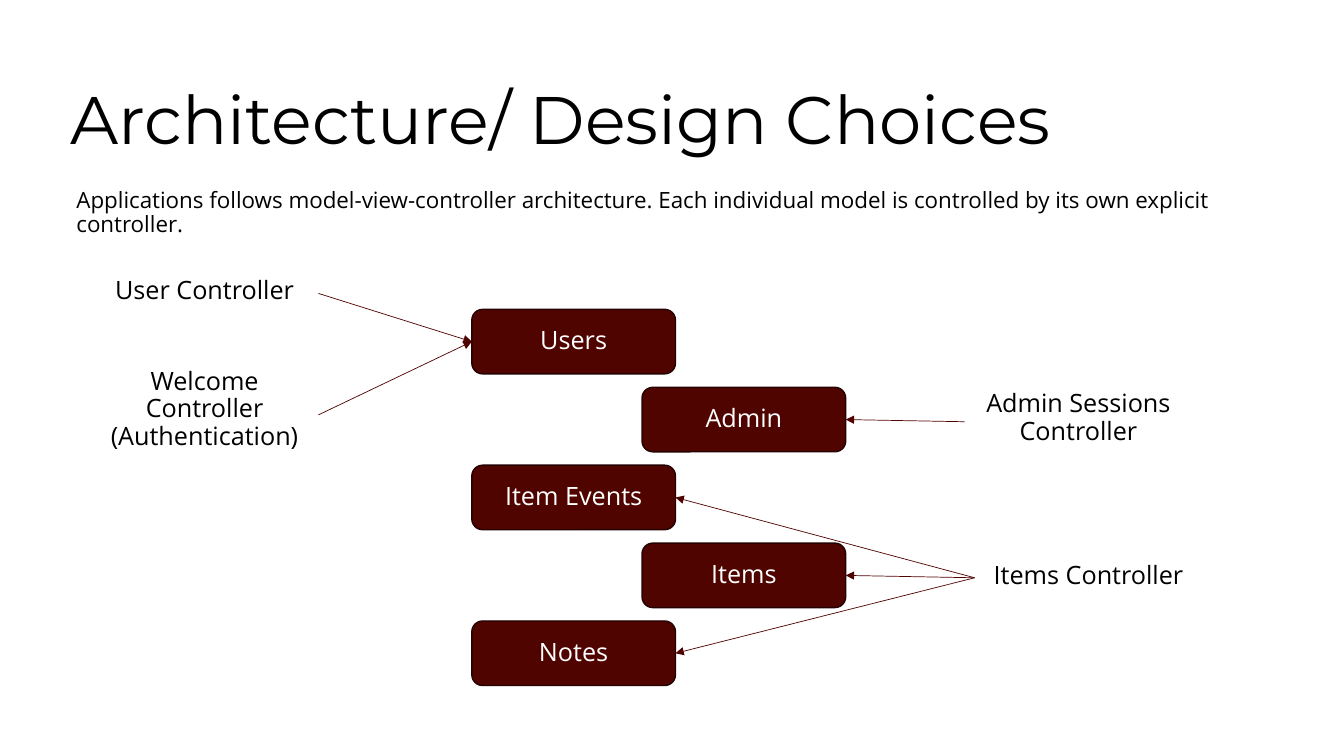
import pptx
import pptx.dml.color
import pptx.enum.shapes
import pptx.enum.text
import pptx.oxml.ns
import pptx.util
from lxml import etree

Pt = pptx.util.Pt
ANCHOR = pptx.enum.text.MSO_ANCHOR
ALIGN = pptx.enum.text.PP_ALIGN

COLORS = {"text": "000000", "model": "500400", "edge": "230200", "model_text": "FFFFFF"}
HEADING_FONT, BODY_FONT = "Montserrat", "Open Sans"

MODELS = ["Users", "Admin", "Item Events", "Items", "Notes"]
MODEL_LEFTS = (337, 458.6)  # models alternate between two columns
MODEL_TOP, MODEL_PITCH = 221, 55.65
MODEL_SIZE = (145.5, 46.1)

LABEL_WIDTH = 162.7
# text, left, top, height, models it controls
CONTROLLERS = [
    ("User Controller", 64.8, 195.1, 29, ["Users"]),
    ("Welcome Controller (Authentication)", 64.8, 260, 72.7, ["Users"]),
    ("Admin Sessions Controller", 689, 275.8, 50.9, ["Admin"]),
    ("Items Controller", 696.2, 398.2, 29, ["Item Events", "Items", "Notes"]),
]
LEFT_SIDE, RIGHT_SIDE = 1, 3  # connection sites


def rgb(name):
    return pptx.dml.color.RGBColor.from_string(COLORS[name])


def write(sp, text, size, font=BODY_FONT, color="text", align=ALIGN.CENTER, anchor=ANCHOR.MIDDLE):
    tf = sp.text_frame
    tf.word_wrap = True
    tf.auto_size = pptx.enum.text.MSO_AUTO_SIZE.NONE
    tf.vertical_anchor = anchor
    p = tf.paragraphs[0]
    p.alignment = align
    p.line_spacing = 0.9
    r = p.add_run()
    r.text = text
    r.font.size = Pt(size)
    r.font.name = font
    r.font.color.rgb = rgb(color)


def add_title(s, text):
    sp = s.shapes.title
    sp.left, sp.top, sp.width, sp.height = Pt(43.2), Pt(50.4), Pt(779.8), Pt(74.2)
    write(sp, text, 48, font=HEADING_FONT, align=ALIGN.LEFT)


def add_text(s, text, left, top, width, height, size, **style):
    sp = s.shapes.add_textbox(Pt(left), Pt(top), Pt(width), Pt(height))
    write(sp, text, size, **style)
    return sp


def add_model(s, text, left, top):
    width, height = MODEL_SIZE
    sp = s.shapes.add_shape(pptx.enum.shapes.MSO_SHAPE.ROUNDED_RECTANGLE,
                            Pt(left), Pt(top), Pt(width), Pt(height))
    sp.shadow.inherit = False
    sp.fill.solid()
    sp.fill.fore_color.rgb = rgb("model")
    sp.line.color.rgb = rgb("edge")
    sp.line.width = Pt(1)
    write(sp, text, 18, color="model_text")
    return sp


def add_arrow(s, label, model):
    """Join the facing sides of a controller label and a model."""
    start, end = (RIGHT_SIDE, LEFT_SIDE) if label.left < model.left else (LEFT_SIDE, RIGHT_SIDE)
    cxn = s.shapes.add_connector(pptx.enum.shapes.MSO_CONNECTOR.STRAIGHT, 0, 0, 0, 0)
    cxn.begin_connect(label, start)
    cxn.end_connect(model, end)
    cxn.line.color.rgb = rgb("model")
    cxn.line.width = Pt(0.5)
    qn = pptx.oxml.ns.qn
    etree.SubElement(cxn.line._get_or_add_ln(), qn("a:tailEnd"), type="triangle")
    etree.SubElement(cxn._element.spPr, qn("a:effectLst"))


def main():
    prs = pptx.Presentation()
    prs.slide_width, prs.slide_height = Pt(960), Pt(540)
    s = prs.slides.add_slide(prs.slide_layouts[5])

    add_title(s, "Architecture/ Design Choices")
    add_text(s, "Applications follows model-view-controller architecture. "
             "Each individual model is controlled by its own explicit controller.",
             47.5, 132.5, 825.8, 40.3, 16, align=ALIGN.LEFT)

    models = {name: add_model(s, name, MODEL_LEFTS[i % 2], MODEL_TOP + i * MODEL_PITCH)
              for i, name in enumerate(MODELS)}
    for text, left, top, height, controlled in CONTROLLERS:
        label = add_text(s, text, left, top, LABEL_WIDTH, height, 18, anchor=ANCHOR.TOP)
        for name in controlled:
            add_arrow(s, label, models[name])

    prs.save("out.pptx")


if __name__ == "__main__":
    main()
